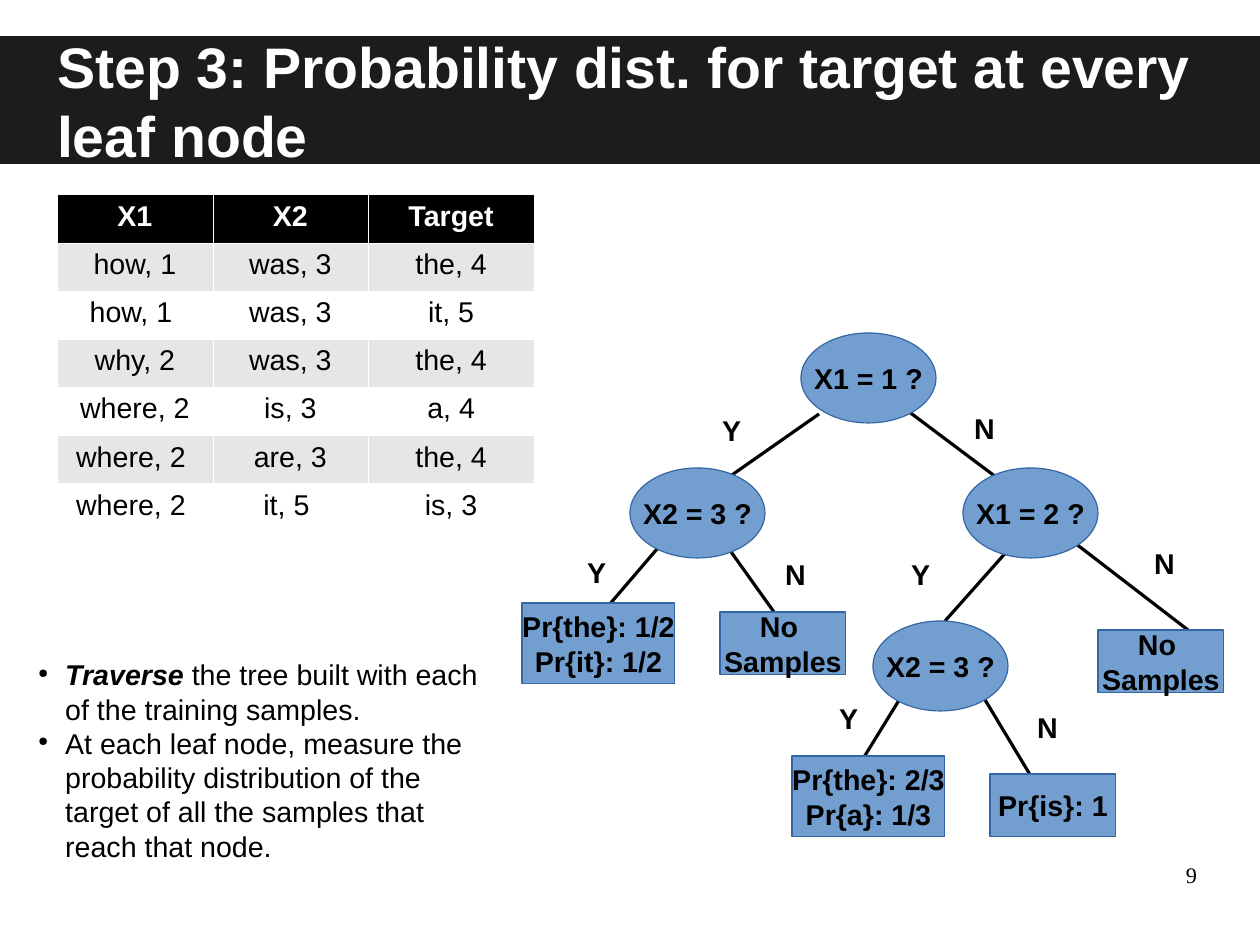
import pptx
import pptx.dml.color
import pptx.enum.shapes
import pptx.enum.text
import pptx.oxml
import pptx.oxml.ns
import pptx.util

Cm = pptx.util.Cm
Pt = pptx.util.Pt
Align = pptx.enum.text.PP_ALIGN
Anchor = pptx.enum.text.MSO_ANCHOR
Preset = pptx.enum.shapes.MSO_SHAPE

COLORS = {
    "black": "000000",
    "white": "FFFFFF",
    "banner": "1C1C1C",
    "band": "E6E6E6",
    "node": "729FCF",
    "outline": "3465A4",
}

SAMPLES = [
    ("X1", "X2", "Target"),
    ("how, 1", "was, 3", "the, 4"),
    ("how, 1 ", "was, 3", "it, 5"),
    ("why, 2", "was, 3", "the, 4"),
    ("where, 2", "is, 3", "a, 4"),
    ("where, 2 ", "are, 3", "the, 4"),
    ("where, 2 ", "it, 5 ", "is, 3"),
]

STEPS = [
    ("Traverse ", "the tree built with each of the training samples."),
    ("", "At each leaf node, measure the probability distribution of the "
         "target of all the samples that reach that node."),
]

QUESTION = (Preset.OVAL, 3, 2)
WIDE_LEAF = (Preset.RECTANGLE, 3.4, 1.8)
SMALL_LEAF = (Preset.RECTANGLE, 2.8, 1.4)

NODES = [
    (QUESTION, 6.2, 0, ["X1 = 1 ?"]),
    (QUESTION, 2.4, 3, ["X2 = 3 ?"]),
    (QUESTION, 9.8, 3, ["X1 = 2 ?"]),
    (QUESTION, 7.8, 6.4, ["X2 = 3 ?"]),
    (WIDE_LEAF, 0, 6, ["Pr{the}: 1/2", "Pr{it}: 1/2"]),
    (SMALL_LEAF, 4.4, 6.2, ["No ", "Samples"]),
    (SMALL_LEAF, 12.8, 6.6, ["No ", "Samples"]),
    (WIDE_LEAF, 6, 9.4, ["Pr{the}: 2/3", "Pr{a}: 1/3"]),
    (SMALL_LEAF, 10.4, 9.8, ["Pr{is}: 1"]),
]

BRANCHES = [
    ("Y", (4.2, 1.65), (6.6, 1.8), (4.6, 3.2)),
    ("N", (9.8, 1.6), (8.4, 1.6), (10.8, 3.4)),
    ("Y", (1.2, 4.8), (3, 4.8), (1.8, 6.2)),
    ("N", (5.6, 4.85), (4.6, 4.8), (5.6, 6.2)),
    ("Y", (8.4, 4.85), (11, 4.6), (9.4, 6.4)),
    ("N", (13.8, 4.6), (12.2, 4.6), (14.8, 6.6)),
    ("Y", (6.8, 8.05), (8.6, 7.8), (7, 10.4)),
    ("N", (11.2, 8.25), (10.2, 8), (11.4, 10)),
]


def rgb(name):
    return pptx.dml.color.RGBColor.from_string(COLORS[name])


def fill_with(target, name):
    target.fill.solid()
    target.fill.fore_color.rgb = rgb(name)


def style_font(para, size=18, color="black", bold=False, face="Arial"):
    para.font.name = face
    para.font.size = Pt(size)
    para.font.bold = bold
    para.font.color.rgb = rgb(color)


def add_xml(parent, markup):
    namespace = pptx.oxml.ns.nsdecls("a")
    tag, rest = markup[1:].split(" ", 1)
    parent.append(pptx.oxml.parse_xml(f"<{tag} {namespace} {rest}"))


def add_text_box(page, left, top, width, height):
    box = page.shapes.add_textbox(Cm(left), Cm(top), Cm(width), Cm(height))
    box.text_frame.word_wrap = True
    return box.text_frame


def add_title(page, left, top, width, height):
    title = page.shapes.title
    title.left, title.top = Cm(left), Cm(top)
    title.width, title.height = Cm(width), Cm(height)
    fill_with(title, "banner")
    frame = title.text_frame
    frame.text = "Step 3: Probability dist. for target at every leaf node"
    frame.auto_size = pptx.enum.text.MSO_AUTO_SIZE.NONE
    frame.vertical_anchor = Anchor.MIDDLE
    frame.margin_left = Cm(1.27)
    frame.margin_top = frame.margin_right = frame.margin_bottom = 0
    para = frame.paragraphs[0]
    para.alignment = Align.LEFT
    style_font(para, 36, "white", True)


def add_samples(page, left, top, width, height):
    table = page.shapes.add_table(
        len(SAMPLES), len(SAMPLES[0]),
        Cm(left), Cm(top), Cm(width), Cm(height)).table
    for column, share in zip(table.columns, (0.326, 0.326, 0.348)):
        column.width = Cm(width * share)
    for row_index, words in enumerate(SAMPLES):
        header = row_index == 0
        shade = "black" if header else "band" if row_index % 2 else "white"
        for column_index, word in enumerate(words):
            cell = table.cell(row_index, column_index)
            cell.text = word
            para = cell.text_frame.paragraphs[0]
            para.alignment = Align.CENTER
            style_font(para, color="white" if header else "black", bold=header)
            properties = cell._tc.get_or_add_tcPr()
            for side in ("lnL", "lnR", "lnT", "lnB"):
                add_xml(properties, f'<a:{side} w="720"><a:solidFill><a:srgbClr '
                                    f'val="{COLORS["white"]}"/></a:solidFill></a:{side}>')
            fill_with(cell, shade)


def add_steps(page, left, top, width, height):
    frame = add_text_box(page, left, top, width, height)
    for index, (lead, rest) in enumerate(STEPS):
        para = frame.add_paragraph() if index else frame.paragraphs[0]
        style_font(para)
        if lead:
            span = para.add_run()
            span.text = lead
            span.font.bold = span.font.italic = True
        para.add_run().text = rest
        properties = para._p.get_or_add_pPr()
        properties.set("marL", str(Cm(0.6)))
        properties.set("indent", str(-Cm(0.6)))
        bullet = [
            f'<a:buClr ><a:srgbClr val="{COLORS["black"]}"/></a:buClr>',
            '<a:buSzPct val="45000"/>',
            '<a:buChar char="●"/>',
        ]
        for offset, markup in enumerate(bullet):
            add_xml(properties, markup)
            properties.insert(offset, properties[-1])


def add_branch(page, left, top, label, label_at, start, end):
    line = page.shapes.add_connector(
        pptx.enum.shapes.MSO_CONNECTOR.STRAIGHT,
        Cm(left + start[0]), Cm(top + start[1]),
        Cm(left + end[0]), Cm(top + end[1]))
    line.line.color.rgb = rgb("black")
    line.line.width = Pt(0)
    add_xml(line._element.spPr, "<a:effectLst />")
    frame = add_text_box(page, left + label_at[0], top + label_at[1], 1, 0.97)
    frame.text = label
    style_font(frame.paragraphs[0], bold=True)


def add_node(page, left, top, kind, lines):
    preset, width, height = kind
    node = page.shapes.add_shape(preset, Cm(left), Cm(top), Cm(width), Cm(height))
    node.shadow.inherit = False
    fill_with(node, "node")
    node.line.color.rgb = rgb("outline")
    node.line.width = Pt(0)
    frame = node.text_frame
    frame.word_wrap = False
    frame.vertical_anchor = Anchor.MIDDLE
    frame.text = "\n".join(lines)
    for para in frame.paragraphs:
        para.alignment = Align.CENTER
        style_font(para, bold=True)


def add_tree(page, left, top):
    for branch in BRANCHES:
        add_branch(page, left, top, *branch)
    for kind, across, down, lines in NODES:
        add_node(page, left + across, top + down, kind, lines)


def add_page_number(page, left, top, width, height):
    frame = add_text_box(page, left, top, width, height)
    frame.margin_left = frame.margin_right = 0
    frame.margin_top = frame.margin_bottom = 0
    frame.text = "9"
    para = frame.paragraphs[0]
    para.alignment = Align.RIGHT
    style_font(para, 14, face="Times New Roman")


def main():
    deck = pptx.Presentation()
    deck.slide_width, deck.slide_height = Cm(28), Cm(21)
    page = deck.slides.add_slide(deck.slide_layouts.get_by_name("Title Only"))
    add_title(page, 0, 0.8, 28, 2.84)
    add_samples(page, 1.27, 4.32, 10.6, 7.5)
    add_steps(page, 0.6, 14.48, 10.6, 4.52)
    add_tree(page, 11.6, 7.4)
    add_page_number(page, 20.07, 19.13, 6.53, 1.45)
    deck.save("out.pptx")


if __name__ == "__main__":
    main()
